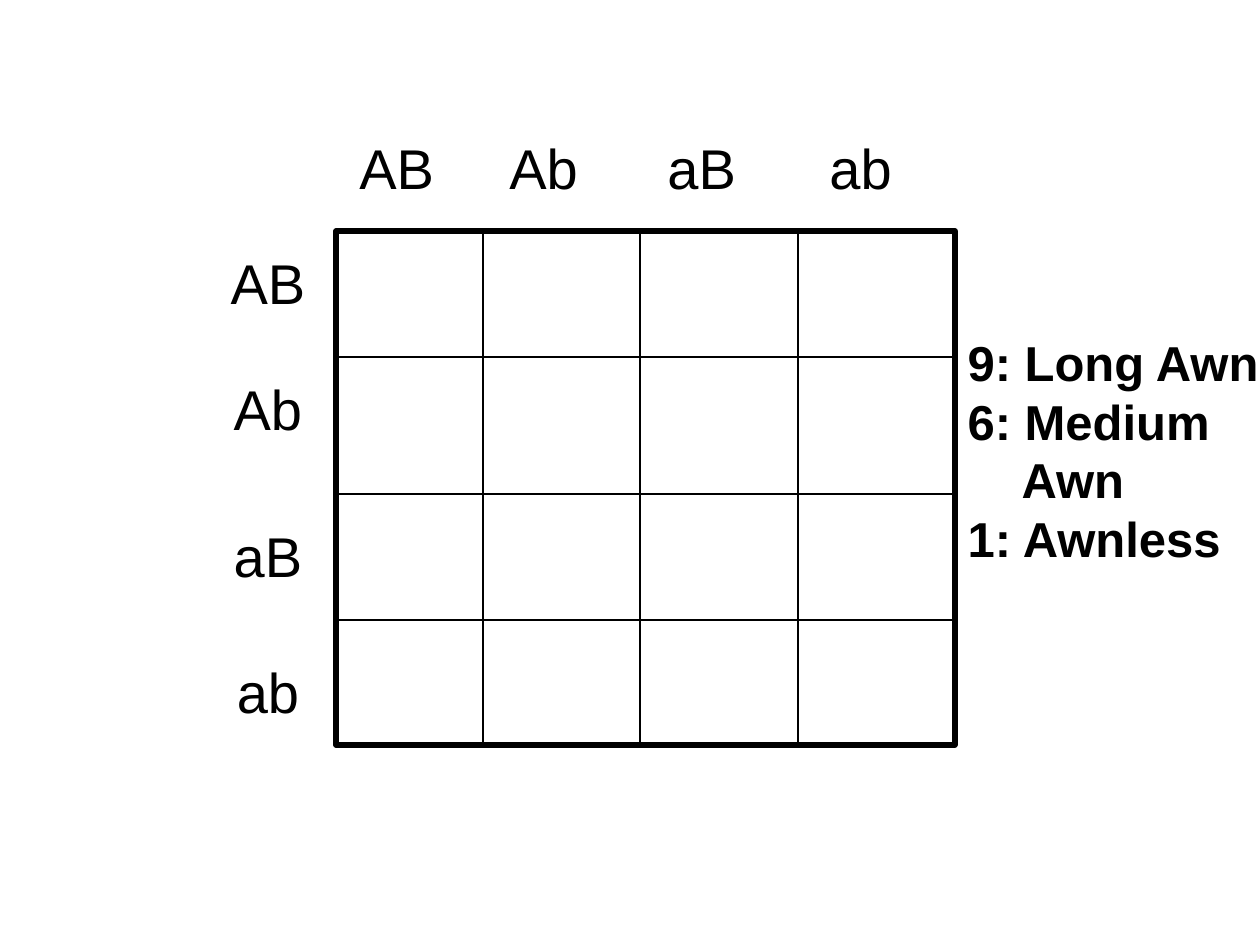
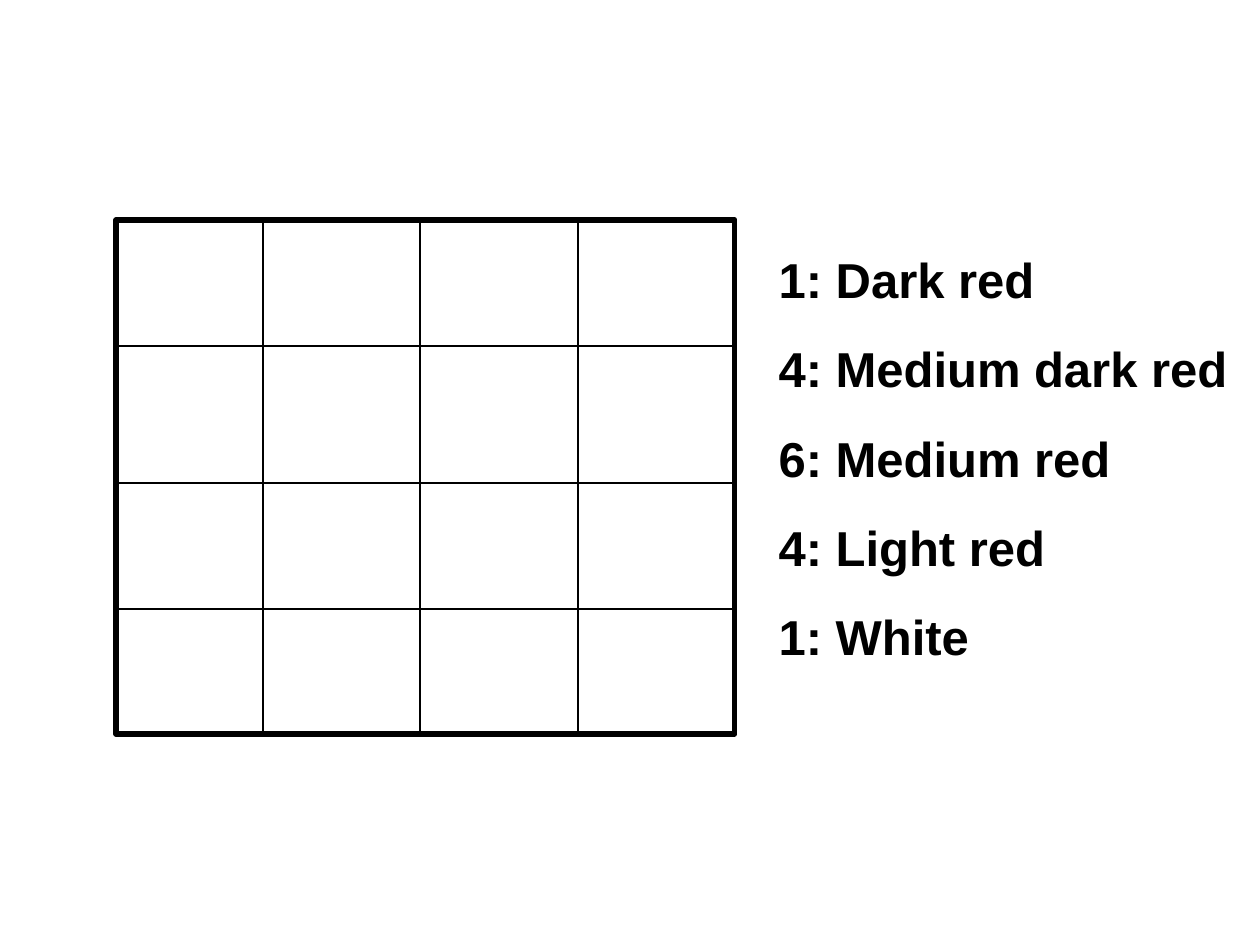
"""Build two slides with blank four-by-four Punnett squares and their ratios."""
from dataclasses import dataclass

from lxml import etree
from pptx import Presentation
from pptx.dml.color import RGBColor
from pptx.enum.shapes import MSO_CONNECTOR, MSO_SHAPE
from pptx.enum.text import MSO_ANCHOR, MSO_AUTO_SIZE, PP_ALIGN
from pptx.oxml.ns import qn
from pptx.util import Pt

STRAIGHT = MSO_CONNECTOR.STRAIGHT
RECTANGLE = MSO_SHAPE.RECTANGLE
TOP = MSO_ANCHOR.TOP
FIXED_SIZE = MSO_AUTO_SIZE.NONE
LEFT, CENTER = PP_ALIGN.LEFT, PP_ALIGN.CENTER


@dataclass(frozen=True)
class Theme:
    """Colours, font, type sizes and line widths in points."""
    ink: RGBColor = RGBColor(0, 0, 0)
    font: str = "Arial"
    gamete_size: int = 32
    ratio_size: int = 28
    leading: float = 1.2
    thin: int = 1
    thick: int = 3


THEME = Theme()
PX_PER_INCH = 126
SLIDE_SIZE = (1260, 945)
GRID_SIZE = (619, 514)
COLUMN_OFFSETS = (147, 304, 462)
ROW_OFFSETS = (126, 263, 389)

GAMETES = ["AB", "Ab", "aB", "ab"]
GAMETE_TABS = (150, 308, 470)
GAMETE_HEADER = (347, 127, 588, 81)
GAMETE_ROW_TOPS = (242, 368, 515, 651)
GAMETE_ROW_LEFT, GAMETE_ROW_SIZE = 210, (116, 81)

SQUARES = [
    {
        "grid": (336, 231),
        "gametes": GAMETES,
        "ratio_box": (955, 326, 325, 248),
        "ratios": [("9: Long Awn", 0), ("6: Medium", 0), ("Awn", 54), ("1: Awnless", 0)],
        "gap": 0,
    },
    {
        "grid": (116, 220),
        "gametes": [],
        "ratio_box": (766, 243, 525, 430),
        "ratios": [("1: Dark red", 0), ("4: Medium dark red", 0), ("6: Medium red", 0),
                   ("4: Light red", 0), ("1: White", 0)],
        "gap": 17.5,
    },
]


def px(length):
    return round(length * 914400 / PX_PER_INCH)


def emu(lengths):
    return [px(length) for length in lengths]


def set_line(shape, width):
    shape.line.color.rgb = THEME.ink
    shape.line.width = Pt(width)


def add_grid(slide, left, top):
    width, height = GRID_SIZE
    right, bottom = left + width, top + height
    group = slide.shapes.add_group_shape()
    rules = [(left + x, top, left + x, bottom) for x in COLUMN_OFFSETS]
    rules += [(left, top + y, right, top + y) for y in ROW_OFFSETS]
    for rule in rules:
        connector = group.shapes.add_connector(STRAIGHT, *emu(rule))
        set_line(connector, THEME.thin)
        etree.SubElement(connector._element.spPr, qn("a:effectLst"))
    frame = group.shapes.add_shape(RECTANGLE, *emu((left, top, width, height)))
    frame.shadow.inherit = False
    frame.fill.background()
    set_line(frame, THEME.thick)


def prepare_frame(shape):
    frame = shape.text_frame
    frame.word_wrap = True
    frame.auto_size = FIXED_SIZE
    frame.vertical_anchor = TOP
    return frame


def write(paragraph, text, size, bold=False, align=LEFT, gap=0):
    paragraph.alignment = align
    paragraph.line_spacing = Pt(round(size * THEME.leading, 1))
    paragraph.space_before = Pt(gap)
    run = paragraph.add_run()
    run.text = text
    run.font.name = THEME.font
    run.font.size = Pt(size)
    run.font.bold = bold
    run.font.color.rgb = THEME.ink


def add_gamete_text(slide, box, text, align):
    frame = prepare_frame(slide.shapes.add_textbox(*emu(box)))
    paragraph = frame.paragraphs[0]
    write(paragraph, text, THEME.gamete_size, align=align)
    return paragraph


def add_gametes(slide, gametes):
    header = add_gamete_text(slide, GAMETE_HEADER, "\t".join(gametes), LEFT)
    tabs = etree.SubElement(header._p.get_or_add_pPr(), qn("a:tabLst"))
    for position in GAMETE_TABS:
        etree.SubElement(tabs, qn("a:tab"), pos=str(px(position)), algn="l")
    for gamete, top in zip(gametes, GAMETE_ROW_TOPS):
        add_gamete_text(slide, (GAMETE_ROW_LEFT, top, *GAMETE_ROW_SIZE), gamete, CENTER)


def fill_ratios(body, box, ratios, gap):
    body.left, body.top, body.width, body.height = emu(box)
    frame = prepare_frame(body)
    for index, (text, indent) in enumerate(ratios):
        paragraph = frame.add_paragraph() if index else frame.paragraphs[0]
        write(paragraph, text, THEME.ratio_size, bold=True, gap=gap)
        properties = paragraph._p.get_or_add_pPr()
        properties.set("marL", str(px(indent)))
        properties.set("indent", "0")
        etree.SubElement(properties, qn("a:buNone"))


def add_square_slide(presentation, square):
    slide = presentation.slides.add_slide(presentation.slide_layouts[1])
    title = slide.shapes.title._element
    title.getparent().remove(title)
    add_grid(slide, *square["grid"])
    if square["gametes"]:
        add_gametes(slide, square["gametes"])
    fill_ratios(slide.placeholders[1], square["ratio_box"], square["ratios"], square["gap"])


def main():
    presentation = Presentation()
    presentation.slide_width, presentation.slide_height = emu(SLIDE_SIZE)
    for square in SQUARES:
        add_square_slide(presentation, square)
    presentation.save("out.pptx")


if __name__ == "__main__":
    main()
